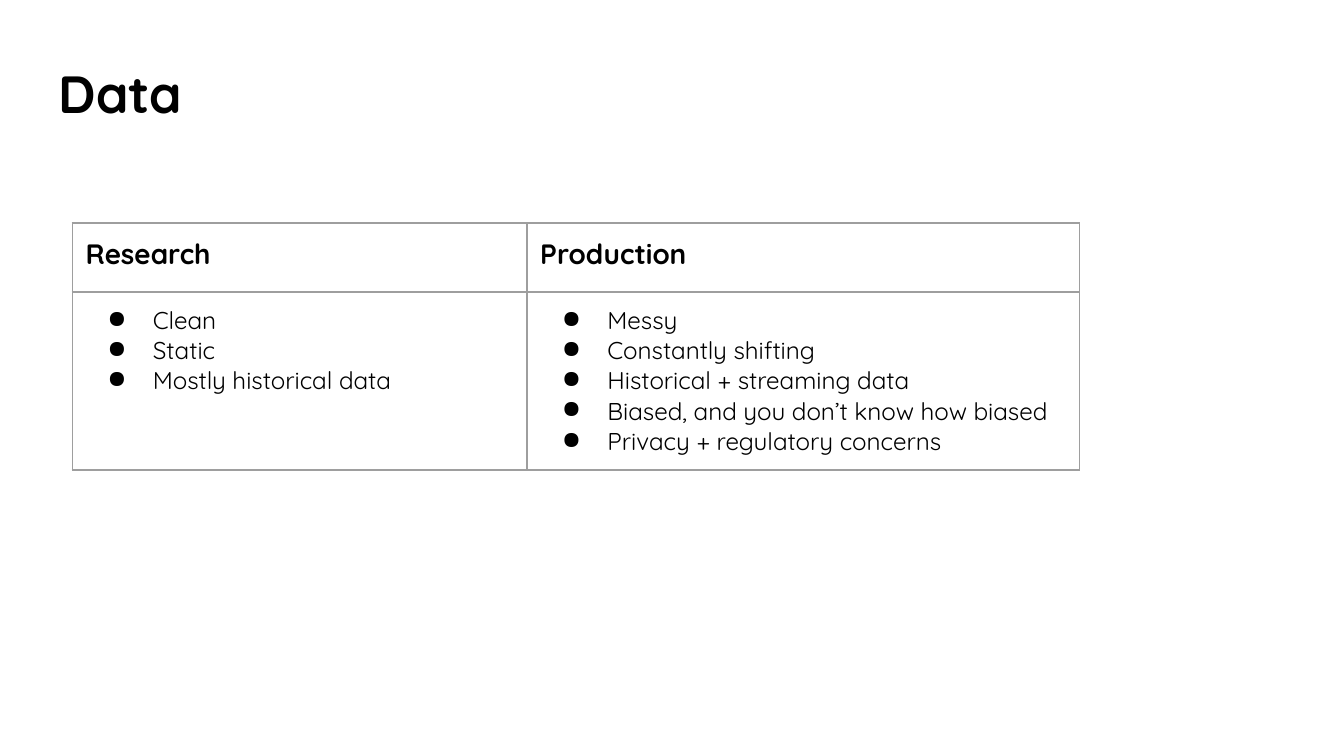
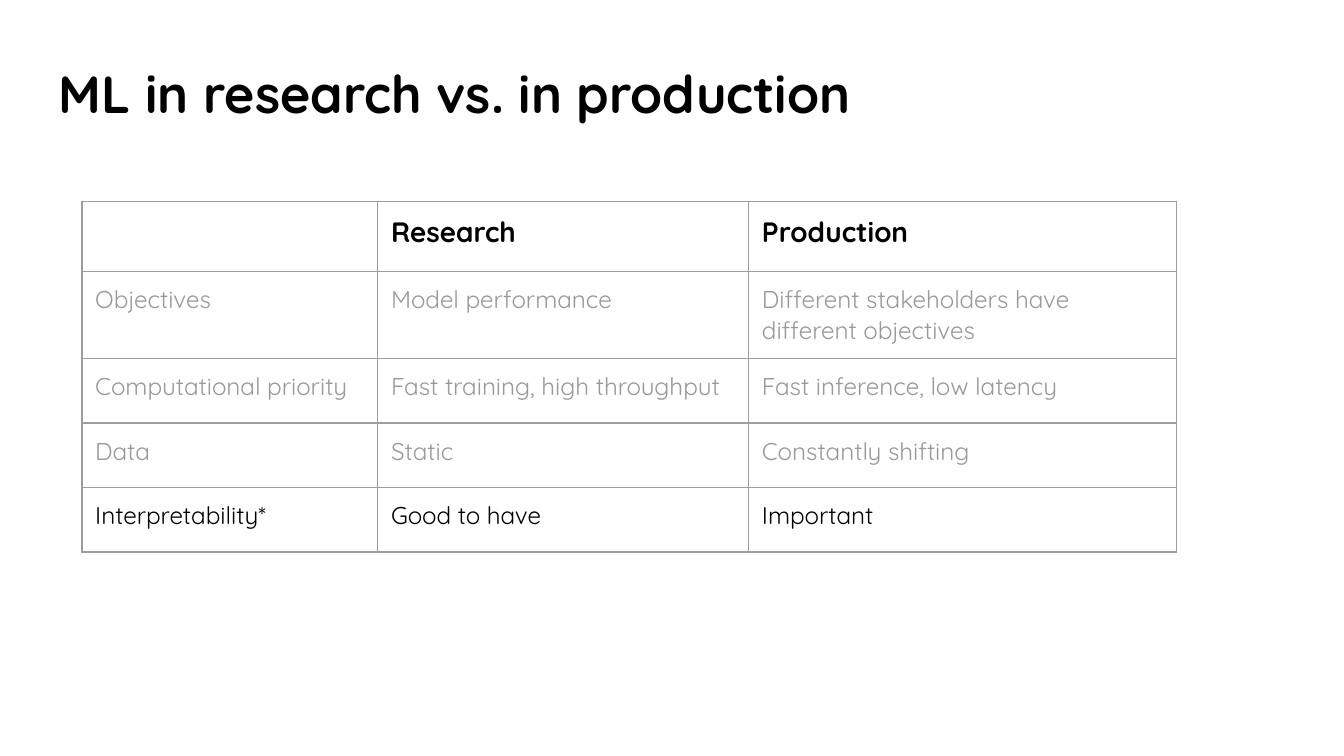
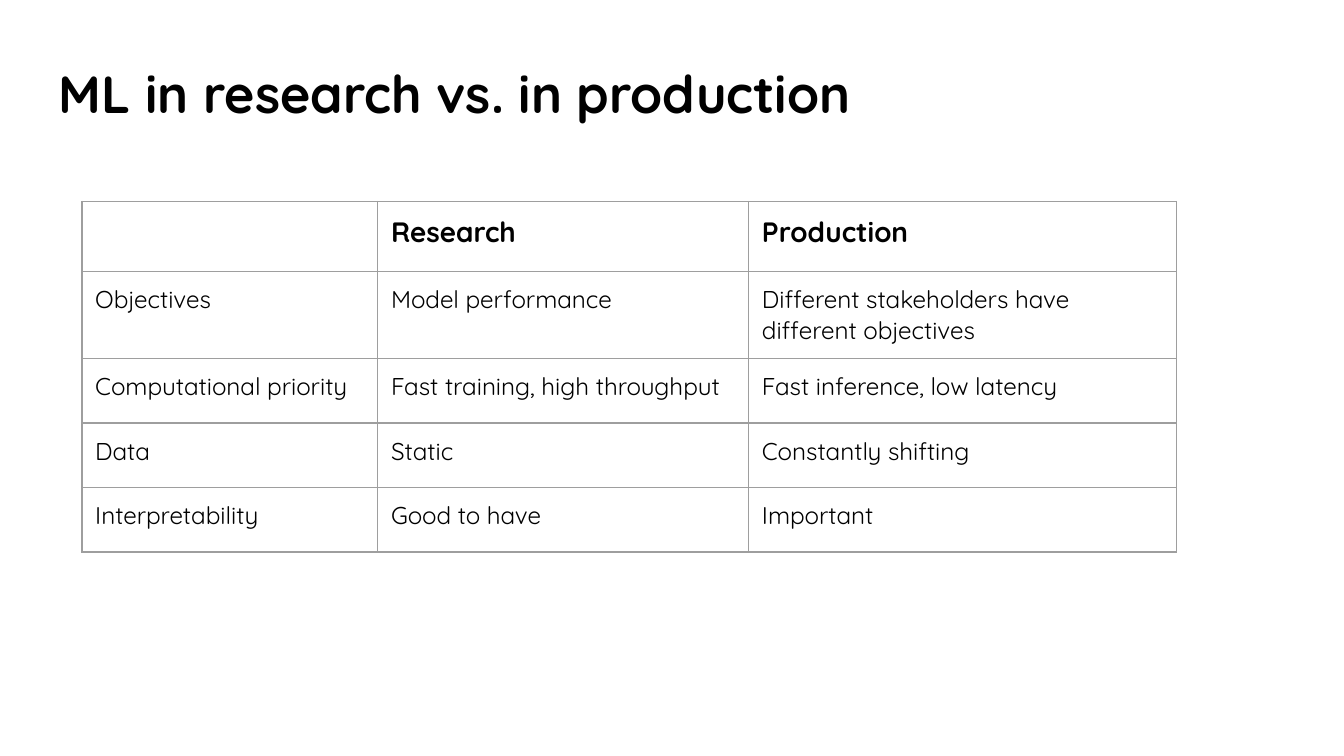
from dataclasses import dataclass

from lxml import etree
from pptx import Presentation
from pptx import util as u
from pptx.dml import color
from pptx.enum import text
from pptx.oxml import ns


@dataclass(frozen=True)
class Theme:
    font: str = "Quicksand"
    ink: str = "000000"
    muted: str = "999999"
    paper: str = "FFFFFF"
    rule: str = "9E9E9E"
    title_size: int = 28
    header_size: int = 15
    body_size: int = 13
    inset: float = 0.25
    bullet_margin: float = 1.27
    bullet_hang: float = 0.86


@dataclass(frozen=True)
class Grid:
    left: float
    top: float
    columns: tuple
    header_height: float
    row_height: float
    rule_width: float


THEME = Theme()
TITLE_BOX = (0.86, 0.91, 23.67, 1.35)
DATA_GRID = Grid(1.37, 4.22, (8.59, 10.44), 1.3, 1.19, 1)
COMPARISON_GRID = Grid(1.55, 3.81, (5.59, 7.01, 8.08), 1.32, 1.22, 0.75)

DATA_ROWS = [
    ("Research", "Production"),
    (
        ["Clean", "Static", "Mostly historical data"],
        [
            "Messy",
            "Constantly shifting",
            "Historical + streaming data",
            "Biased, and you don’t know how biased",
            "Privacy + regulatory concerns",
        ],
    ),
]
COMPARISON_ROWS = [
    ("", "Research", "Production"),
    ("Objectives", "Model performance", "Different stakeholders have different objectives"),
    ("Computational priority", "Fast training, high throughput", "Fast inference, low latency"),
    ("Data", "Static", "Constantly shifting"),
]
INTERPRETABILITY = ("Good to have", "Important")


def add_span(para, wording, size, ink, bold=False):
    span = para.add_run()
    span.text = wording
    span.font.name = THEME.font
    span.font.size = u.Pt(size)
    span.font.bold = bold
    span.font.color.rgb = color.RGBColor.from_string(ink)


def add_bullet(para):
    properties = para._p.get_or_add_pPr()
    properties.set("marL", str(u.Cm(THEME.bullet_margin)))
    properties.set("indent", str(-u.Cm(THEME.bullet_hang)))
    bullet_color = etree.SubElement(properties, ns.qn("a:buClr"))
    etree.SubElement(bullet_color, ns.qn("a:srgbClr"), val=THEME.ink)
    etree.SubElement(properties, ns.qn("a:buChar"), char="●")


def set_insets(box):
    box.margin_left = box.margin_right = u.Cm(THEME.inset)
    box.margin_top = box.margin_bottom = u.Cm(THEME.inset)
    box.vertical_anchor = text.MSO_ANCHOR.TOP


def set_borders(cell, width):
    properties = cell._tc.get_or_add_tcPr()
    for side in ("lnL", "lnR", "lnT", "lnB"):
        line = etree.SubElement(properties, ns.qn(f"a:{side}"), w=str(u.Pt(width)))
        fill = etree.SubElement(line, ns.qn("a:solidFill"))
        etree.SubElement(fill, ns.qn("a:srgbClr"), val=THEME.rule)


def fill_cell(cell, content, size, ink, bold):
    bulleted = isinstance(content, list)
    frame = cell.text_frame
    for index, wording in enumerate(content if bulleted else [content]):
        para = frame.add_paragraph() if index else frame.paragraphs[0]
        if bulleted:
            add_bullet(para)
        if wording:
            add_span(para, wording, size, ink, bold)


def add_grid(page, grid, rows, muted_rows=()):
    heights = [grid.header_height] + [grid.row_height] * (len(rows) - 1)
    table = page.shapes.add_table(
        len(rows), len(grid.columns),
        u.Cm(grid.left), u.Cm(grid.top), u.Cm(sum(grid.columns)), u.Cm(sum(heights)),
    ).table
    table.first_row = table.horz_banding = False
    for column, width in zip(table.columns, grid.columns):
        column.width = u.Cm(width)
    for index, (row, height, contents) in enumerate(zip(table.rows, heights, rows)):
        row.height = u.Cm(height)
        header = index == 0
        size = THEME.header_size if header else THEME.body_size
        ink = THEME.muted if index in muted_rows else THEME.ink
        for cell, content in zip(row.cells, contents):
            set_insets(cell)
            set_borders(cell, grid.rule_width)
            cell.fill.background()
            fill_cell(cell, content, size, ink, header)


def add_page(deck, heading):
    page = deck.slides.add_slide(deck.slide_layouts[5])
    page.background.fill.solid()
    page.background.fill.fore_color.rgb = color.RGBColor.from_string(THEME.paper)
    title = page.shapes.title
    title.left, title.top, title.width, title.height = map(u.Cm, TITLE_BOX)
    frame = title.text_frame
    frame.word_wrap = True
    frame.auto_size = text.MSO_AUTO_SIZE.NONE
    set_insets(frame)
    para = frame.paragraphs[0]
    para.alignment = text.PP_ALIGN.LEFT
    add_span(para, heading, THEME.title_size, THEME.ink, True)
    return page


def add_data_page(deck):
    add_grid(add_page(deck, "Data"), DATA_GRID, DATA_ROWS)


def add_comparison_page(deck, last_label, muted_rows=()):
    page = add_page(deck, "ML in research vs. in production")
    rows = COMPARISON_ROWS + [(last_label, *INTERPRETABILITY)]
    add_grid(page, COMPARISON_GRID, rows, muted_rows)


def main():
    deck = Presentation()
    deck.slide_width, deck.slide_height = u.Cm(25.4), u.Cm(14.29)
    add_data_page(deck)
    add_comparison_page(deck, "Interpretability*", muted_rows=(1, 2, 3))
    add_comparison_page(deck, "Interpretability")
    deck.save("out.pptx")


if __name__ == "__main__":
    main()
